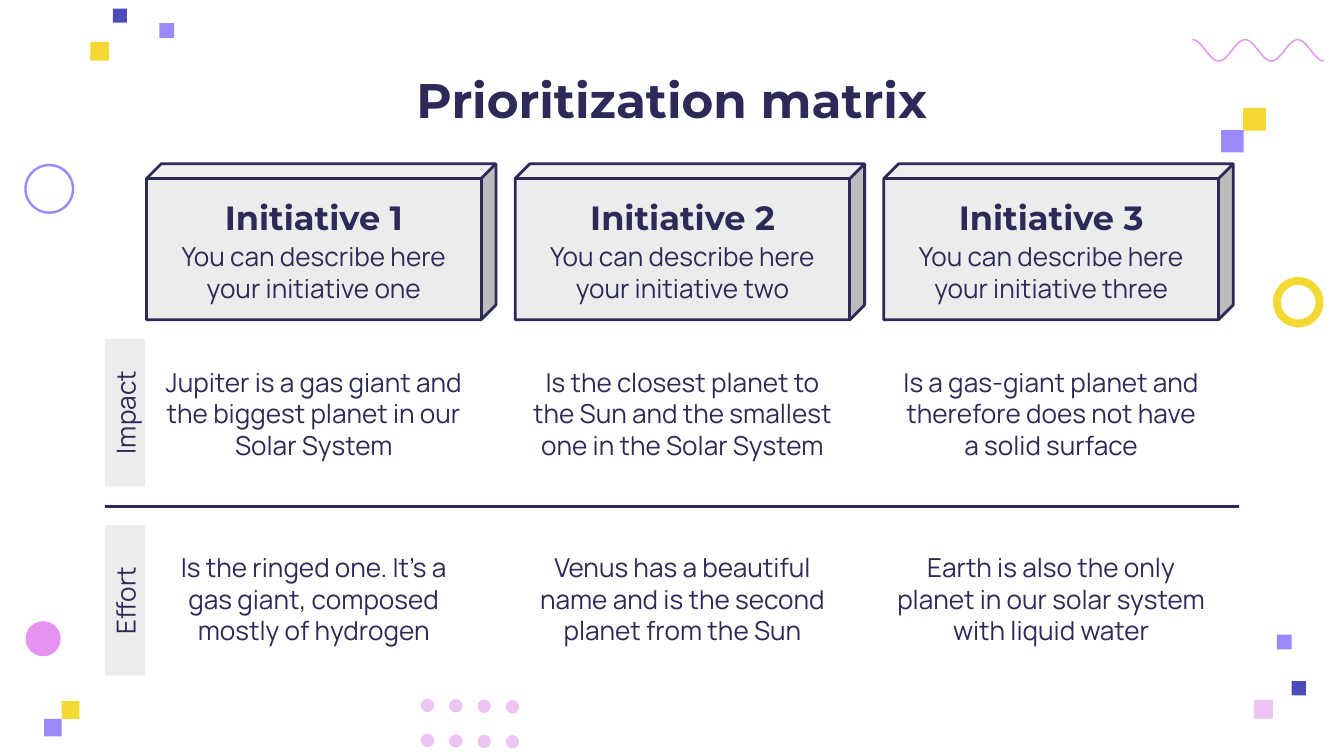
import math

from lxml import etree
from pptx import Presentation
from pptx.dml.color import RGBColor
from pptx.enum import shapes, text
from pptx.oxml import ns
from pptx.util import Pt

NAVY = RGBColor(0x2D, 0x29, 0x58)
GREY = RGBColor(0xEC, 0xEC, 0xEC)
YELLOW = RGBColor(0xF4, 0xD8, 0x34)
PURPLE = RGBColor(0x9C, 0x88, 0xFA)
INDIGO = RGBColor(0x4B, 0x4B, 0xBB)
PINK = RGBColor(0xE5, 0x92, 0xF1)
PALE_PINK = RGBColor(0xED, 0xC4, 0xF2)

HEADING_FONT = "Montserrat"
BODY_FONT = "Manrope"
INSET = 7.2
CUBE_DEPTH = 7.9
COLUMN_LEFT, COLUMN_PITCH, COLUMN_WIDTH = 78.5, 197.5, 187.2
HEADER_TOP, HEADER_HEIGHT = 87.8, 83.5
LABEL_LEFT, LABEL_WIDTH = 56.2, 21.6

INITIATIVES = [
    ("Initiative 1", "You can describe here your initiative one"),
    ("Initiative 2", "You can describe here your initiative two"),
    ("Initiative 3", "You can describe here your initiative three"),
]
ROWS = [
    ("Impact", 181.4, 79.2, 183.6, [
        "Jupiter is a gas giant and the biggest planet in our Solar System",
        "Is the closest planet to the Sun and the smallest one in the Solar System",
        "Is a gas-giant planet and therefore does not have a solid surface",
    ]),
    ("Effort", 281.4, 80.6, 283, [
        "Is the ringed one. It’s a gas giant, composed mostly of hydrogen",
        "Venus has a beautiful name and is the second planet from the Sun",
        "Earth is also the only planet in our solar system with liquid water",
    ]),
]
SQUARES = [
    (48.4, 22.5, 10.1, YELLOW), (85.4, 12.4, 7.9, PURPLE), (60.5, 4.6, 7.6, INDIGO),
    (666, 57.8, 12.2, YELLOW), (654.2, 69.7, 12, PURPLE),
    (671.8, 375, 10.1, PALE_PINK), (684, 340, 7.9, PURPLE), (692, 365, 7.6, INDIGO),
    (33, 375.6, 9.6, YELLOW), (23.6, 385.2, 9.4, PURPLE),
]


def add_solid(page, kind, left, top, width, height, color):
    shape = page.shapes.add_shape(kind, Pt(left), Pt(top), Pt(width), Pt(height))
    shape.shadow.inherit = False
    shape.fill.solid()
    shape.fill.fore_color.rgb = color
    shape.line.fill.background()
    return shape


def write(shape, words, size, font=BODY_FONT, bold=False):
    frame = shape.text_frame
    frame.word_wrap = True
    frame.vertical_anchor = text.MSO_ANCHOR.MIDDLE
    frame.margin_left = frame.margin_right = Pt(INSET)
    frame.margin_top = frame.margin_bottom = Pt(INSET)
    frame.text = words
    para = frame.paragraphs[0]
    para.alignment = text.PP_ALIGN.CENTER
    span = para.runs[0].font
    span.name, span.size, span.bold = font, Pt(size), bold
    span.color.rgb = NAVY


def add_words(page, left, top, width, height, words, size, **style):
    box = page.shapes.add_textbox(Pt(left), Pt(top), Pt(width), Pt(height))
    write(box, words, size, **style)


def add_dots(page, left, top):
    for row in range(2):
        for column in range(4):
            add_solid(page, shapes.MSO_SHAPE.OVAL, left + 15.2 * column,
                      top + 18.8 * row + 0.25 * column, 7.2, 7.2, PALE_PINK)


def add_ring(page, left, top, size, thickness, color):
    ring = add_solid(page, shapes.MSO_SHAPE.DONUT, left, top, size, size, color)
    ring.adjustments[0] = thickness / size


def add_wave(page, left, top, width, height, cycles):
    steps = 100
    points = [(Pt(left + width * step / steps),
               Pt(top + height / 2 * (1 - math.cos(2 * math.pi * cycles * step / steps))))
              for step in range(steps + 1)]
    builder = page.shapes.build_freeform(*points[0])
    builder.add_line_segments(points[1:], close=False)
    wave = builder.convert_to_shape()
    wave.shadow.inherit = False
    wave.fill.background()
    wave.line.color.rgb = PINK
    wave.line.width = Pt(0.8)


def add_decoration(page):
    add_dots(page, 225.4, 374.3)
    add_ring(page, 682, 148.4, 27, 4.2, YELLOW)
    add_ring(page, 13, 87.8, 26.8, 1.3, PURPLE)
    add_solid(page, shapes.MSO_SHAPE.OVAL, 13.7, 332.8, 18.8, 18.8, PINK)
    for left, top, size, color in SQUARES:
        add_solid(page, shapes.MSO_SHAPE.RECTANGLE, left, top, size, size, color)
    add_wave(page, 638.8, 21.3, 70.5, 11.4, 2.5)


def add_header(page, left, top, width, height, name, summary):
    cube = add_solid(page, shapes.MSO_SHAPE.CUBE, left, top, width, height, GREY)
    cube.adjustments[0] = CUBE_DEPTH / height
    cube.line.color.rgb = NAVY
    cube.line.width = Pt(1.5)
    front = width - CUBE_DEPTH
    add_words(page, left, top + 15.9, front, 25.2, name, 18, font=HEADING_FONT, bold=True)
    add_words(page, left, top + 41.1, front, 33.8, summary, 14)


def add_label(page, left, top, width, height, words):
    shift = (height - width) / 2
    label = add_solid(page, shapes.MSO_SHAPE.RECTANGLE, left - shift, top + shift,
                      height, width, GREY)
    label.rotation = 270
    write(label, words, 14)


def add_divider(page, left, top, width):
    line = page.shapes.add_connector(shapes.MSO_CONNECTOR.STRAIGHT, Pt(left), Pt(top),
                                     Pt(left + width), Pt(top))
    line.line.color.rgb = NAVY
    line.line.width = Pt(1.5)
    etree.SubElement(line._element.spPr, ns.qn("a:effectLst"))


def add_matrix(page):
    lefts = [COLUMN_LEFT + COLUMN_PITCH * column for column in range(len(INITIATIVES))]
    for left, (name, summary) in zip(lefts, INITIATIVES):
        add_header(page, left, HEADER_TOP, COLUMN_WIDTH, HEADER_HEIGHT, name, summary)
    for name, top, height, text_top, cells in ROWS:
        add_label(page, LABEL_LEFT, top, LABEL_WIDTH, height, name)
        for left, words in zip(lefts, cells):
            add_words(page, left, text_top, COLUMN_WIDTH - CUBE_DEPTH, 75.6, words, 14)
    add_divider(page, LABEL_LEFT, 271.3, 607.6)


def main():
    deck = Presentation()
    deck.slide_width, deck.slide_height = Pt(720), Pt(405)
    page = deck.slides.add_slide(deck.slide_layouts[6])
    add_decoration(page)
    add_words(page, 60, 30.4, 600, 45.2, "Prioritization matrix", 26,
              font=HEADING_FONT, bold=True)
    add_matrix(page)
    deck.save("out.pptx")


if __name__ == "__main__":
    main()
